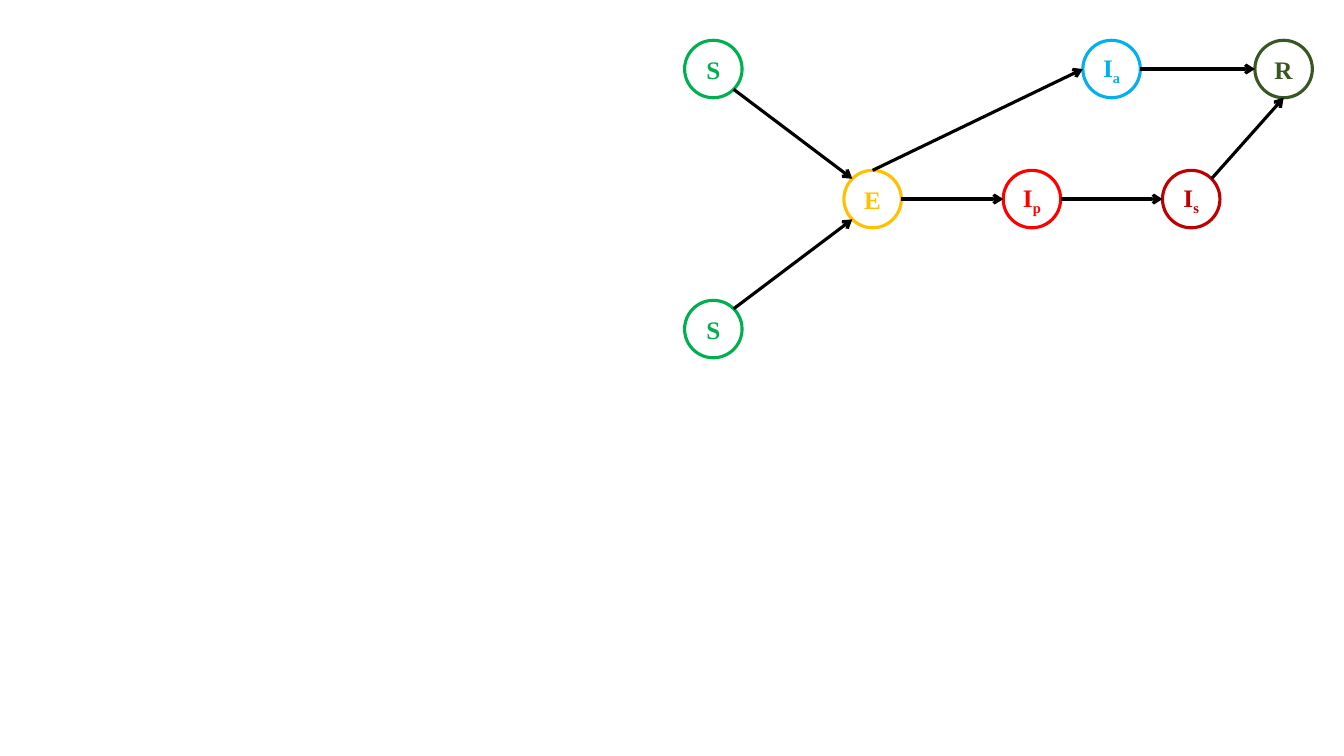
"""Draw a compartment diagram of an epidemic model with two susceptible groups."""
from math import sqrt
from typing import NamedTuple

from lxml import etree
from pptx import Presentation
from pptx.dml.color import RGBColor
from pptx.enum.shapes import MSO_CONNECTOR, MSO_SHAPE
from pptx.enum.text import MSO_ANCHOR, PP_ALIGN
from pptx.oxml.ns import qn
from pptx.slide import Slide
from pptx.util import Inches, Pt

OVAL = MSO_SHAPE.OVAL
STRAIGHT = MSO_CONNECTOR.STRAIGHT
MIDDLE = MSO_ANCHOR.MIDDLE
CENTER = PP_ALIGN.CENTER

COLORS = {
    "susceptible": "00B050",
    "exposed": "FFC000",
    "presymptomatic": "FF0000",
    "symptomatic": "C00000",
    "asymptomatic": "00B0F0",
    "recovered": "385723",
    "arrow": "000000",
}
FONT = "Times New Roman"
LINE_WIDTH = Pt(2.25)
DIAMETER = 0.57
LEFT, TOP = 6.79, 0.4
COLUMN_STEP, ROW_STEP = 1.58, 1.29
DIAGONAL = sqrt(0.5)
DIRECTIONS = {
    "top": (0, -1),
    "left": (-1, 0),
    "bottom": (0, 1),
    "right": (1, 0),
    "top left": (-DIAGONAL, -DIAGONAL),
    "top right": (DIAGONAL, -DIAGONAL),
    "bottom left": (-DIAGONAL, DIAGONAL),
    "bottom right": (DIAGONAL, DIAGONAL),
}


class Compartment(NamedTuple):
    """A circle placed by column and row."""
    letter: str
    subscript: str
    color: str
    column: float
    row: int


class Flow(NamedTuple):
    """An arrow between the rims of two compartments."""
    source: str
    source_side: str
    target: str
    target_side: str


COMPARTMENTS = {
    "upper S": Compartment("S", "", "susceptible", 0, 0),
    "E": Compartment("E", "", "exposed", 1, 1),
    "Ip": Compartment("I", "p", "presymptomatic", 2, 1),
    "Is": Compartment("I", "s", "symptomatic", 3, 1),
    "Ia": Compartment("I", "a", "asymptomatic", 2.5, 0),
    "R": Compartment("R", "", "recovered", 3.58, 0),
    "lower S": Compartment("S", "", "susceptible", 0, 2),
}
FLOWS = [
    Flow("upper S", "bottom right", "E", "top left"),
    Flow("E", "right", "Ip", "left"),
    Flow("Ip", "right", "Is", "left"),
    Flow("E", "top", "Ia", "left"),
    Flow("Ia", "right", "R", "left"),
    Flow("Is", "top right", "R", "bottom"),
    Flow("lower S", "top right", "E", "bottom left"),
]


def corner(compartment: Compartment) -> tuple[float, float]:
    """Return the left and top of a compartment in inches."""
    return LEFT + compartment.column * COLUMN_STEP, TOP + compartment.row * ROW_STEP


def rim_point(name: str, side: str) -> tuple[float, float]:
    """Return the point on a compartment's rim in the given direction."""
    left, top = corner(COMPARTMENTS[name])
    across, down = DIRECTIONS[side]
    radius = DIAMETER / 2
    return left + radius * (1 + across), top + radius * (1 + down)


def draw_compartment(slide: Slide, compartment: Compartment) -> None:
    """Draw one outlined circle with its letter and subscript."""
    left, top = corner(compartment)
    color = RGBColor.from_string(COLORS[compartment.color])
    shape = slide.shapes.add_shape(
        OVAL, Inches(left), Inches(top), Inches(DIAMETER), Inches(DIAMETER))
    shape.shadow.inherit = False
    shape.fill.background()
    shape.line.color.rgb = color
    shape.line.width = LINE_WIDTH
    frame = shape.text_frame
    frame.margin_left = frame.margin_right = 0
    frame.margin_top = frame.margin_bottom = 0
    frame.vertical_anchor = MIDDLE
    paragraph = frame.paragraphs[0]
    paragraph.alignment = CENTER
    for text, baseline in ((compartment.letter, 0), (compartment.subscript, -25000)):
        if not text:
            continue
        run = paragraph.add_run()
        run.text = text
        run.font.name = FONT
        run.font.size = Pt(18)
        run.font.bold = True
        run.font.color.rgb = color
        if baseline:
            run.font._element.set("baseline", str(baseline))


def draw_flow(slide: Slide, flow: Flow) -> None:
    """Draw one arrow from its source to its target."""
    start = rim_point(flow.source, flow.source_side)
    end = rim_point(flow.target, flow.target_side)
    connector = slide.shapes.add_connector(
        STRAIGHT, *(Inches(length) for length in start + end))
    connector.line.color.rgb = RGBColor.from_string(COLORS["arrow"])
    connector.line.width = LINE_WIDTH
    properties = connector._element.spPr
    etree.SubElement(properties.find(qn("a:ln")), qn("a:tailEnd"), type="arrow")
    etree.SubElement(properties, qn("a:effectLst"))


def main() -> None:
    """Build and save the slide."""
    presentation = Presentation()
    presentation.slide_width = Inches(13.33)
    presentation.slide_height = Inches(7.5)
    slide = presentation.slides.add_slide(presentation.slide_layouts[6])
    for compartment in COMPARTMENTS.values():
        draw_compartment(slide, compartment)
    for flow in FLOWS:
        draw_flow(slide, flow)
    presentation.save("out.pptx")


if __name__ == "__main__":
    main()
